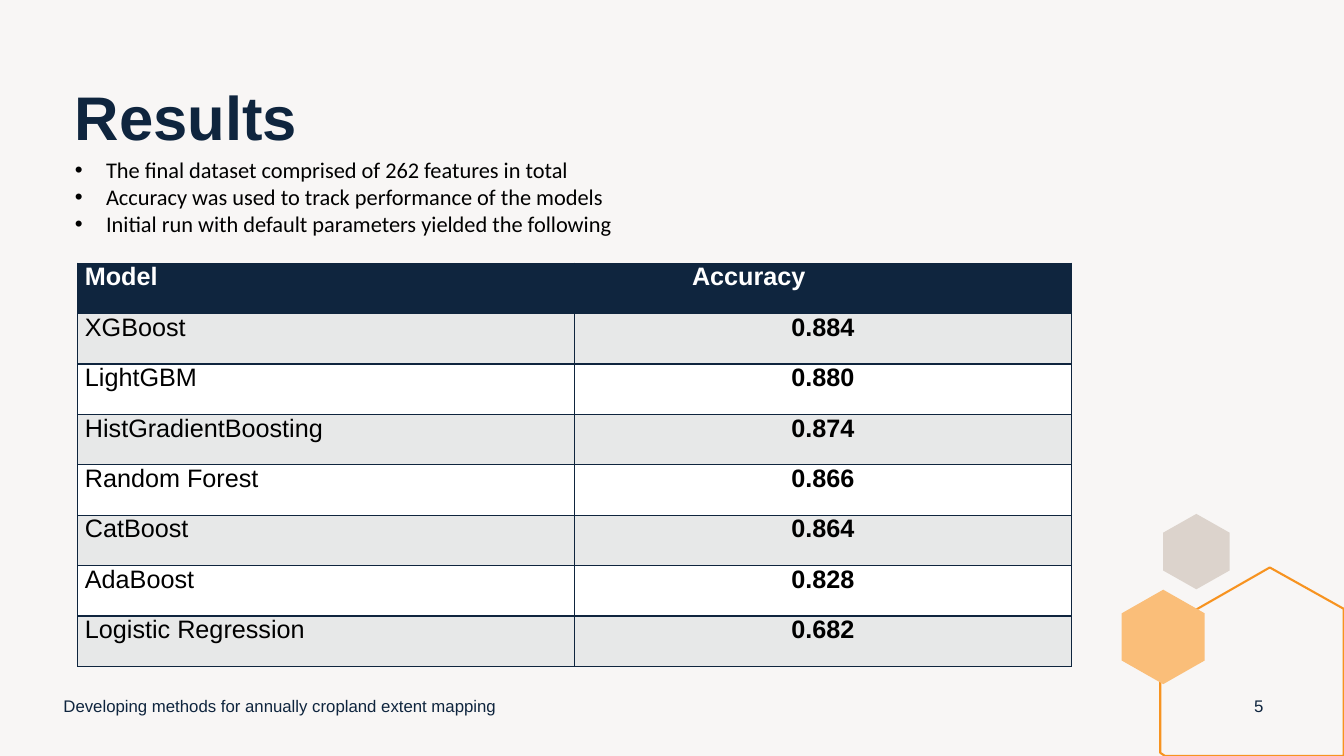
from lxml import etree
from pptx import Presentation
from pptx.dml.color import RGBColor
from pptx.enum.text import MSO_ANCHOR, MSO_AUTO_SIZE, PP_ALIGN
from pptx.oxml.ns import qn
from pptx.util import Cm, Pt

LEFT, CENTER, JUSTIFY = PP_ALIGN.LEFT, PP_ALIGN.CENTER, PP_ALIGN.JUSTIFY
MIDDLE, TOP = MSO_ANCHOR.MIDDLE, MSO_ANCHOR.TOP
NO_FIT = MSO_AUTO_SIZE.NONE

COLORS = {
    "background": "F8F6F5", "navy": "0F253E", "black": "000000",
    "white": "FFFFFF", "band": "E7E8E8", "stone": "DCD3CC",
    "peach": "FABE79", "orange": "F79320",
}

TITLE = "Results"
FINDINGS = [
    "The final dataset comprised of 262 features in total",
    "Accuracy was used to track performance of the models",
    "Initial run with default parameters yielded the following",
]
HEADER = ("Model", "Accuracy")
SCORES = [
    ("XGBoost", "0.884"),
    ("LightGBM", "0.880"),
    ("HistGradientBoosting", "0.874"),
    ("Random Forest", "0.866"),
    ("CatBoost", "0.864"),
    ("AdaBoost", "0.828"),
    ("Logistic Regression", "0.682"),
]
# text, left, width, alignment
FOOTERS = [
    ("Developing methods for annually cropland extent mapping", 1.35, 12.27, LEFT),
    ("5", 31.09, 1.27, CENTER),
]
# left, top, width, height, colour
HEXAGONS = [
    (29.31, 12.95, 1.68, 1.9, "stone"),
    (28.27, 14.86, 2.09, 2.38, "peach"),
]
CROPPED_HEXAGON = [(32, 14.3), (33.86, 15.34), (33.86, 19.05),
                   (29.36, 19.05), (29.24, 18.97), (29.24, 15.88)]

TABLE_LEFT, TABLE_TOP = 1.96, 6.63
COLUMN_WIDTH, ROW_HEIGHT = 12.52, 1.27
ACCURACY_INDENT, BULLET_INDENT = 2.78, 0.79


def rgb(name):
    return RGBColor.from_string(COLORS[name])


def add_text(para, text, size, color, bold=False, font="Arial"):
    span = para.add_run()
    span.text = text
    span.font.name = font
    span.font.size = Pt(size)
    span.font.bold = bold
    span.font.color.rgb = rgb(color)


def place(shape, left, top, width, height):
    shape.left, shape.top = Cm(left), Cm(top)
    shape.width, shape.height = Cm(width), Cm(height)


def prepare_frame(frame, anchor):
    frame.word_wrap = True
    frame.auto_size = NO_FIT
    frame.vertical_anchor = anchor


def add_outline(slide, points):
    """Add a closed polygon whose corners are given in centimetres."""
    corners = [(Cm(x), Cm(y)) for x, y in points]
    builder = slide.shapes.build_freeform(*corners[0])
    builder.add_line_segments(corners[1:], close=True)
    shape = builder.convert_to_shape()
    shape.shadow.inherit = False
    return shape


def hexagon_points(left, top, width, height):
    middle, right = left + width / 2, left + width
    upper, lower = top + height / 4, top + height * 3 / 4
    return [(middle, top), (right, upper), (right, lower),
            (middle, top + height), (left, lower), (left, upper)]


def add_hexagons(slide):
    outline = add_outline(slide, CROPPED_HEXAGON)
    outline.fill.background()
    outline.line.color.rgb = rgb("orange")
    outline.line.width = Pt(1.5)
    for *bounds, color in HEXAGONS:
        hexagon = add_outline(slide, hexagon_points(*bounds))
        hexagon.fill.solid()
        hexagon.fill.fore_color.rgb = rgb(color)
        hexagon.line.fill.background()


def set_borders(cell):
    properties = cell._tc.get_or_add_tcPr()
    for position, side in enumerate(("lnL", "lnR", "lnT", "lnB")):
        line = etree.Element(qn(f"a:{side}"), w=str(Pt(1)))
        fill = etree.SubElement(line, qn("a:solidFill"))
        etree.SubElement(fill, qn("a:srgbClr"), val=COLORS["navy"])
        properties.insert(position, line)


def fill_cell(cell, text, row, column):
    is_header = row == 0
    cell.margin_left = cell.margin_right = Cm(0.18)
    cell.margin_top = cell.margin_bottom = 0
    cell.fill.solid()
    band = "band" if row % 2 else "white"
    cell.fill.fore_color.rgb = rgb("navy" if is_header else band)
    set_borders(cell)
    para = cell.text_frame.paragraphs[0]
    para.space_before = Pt(6)
    para.alignment = JUSTIFY if is_header or column == 0 else CENTER
    if is_header and column == 1:
        para._p.get_or_add_pPr().set("marL", str(Cm(ACCURACY_INDENT)))
    add_text(para, text, 18, "white" if is_header else "black",
             bold=is_header or column == 1)


def add_score_table(slide):
    rows = [HEADER, *SCORES]
    columns = len(HEADER)
    table = slide.shapes.add_table(
        len(rows), columns, Cm(TABLE_LEFT), Cm(TABLE_TOP),
        Cm(COLUMN_WIDTH * columns), Cm(ROW_HEIGHT * len(rows))).table
    for row, values in enumerate(rows):
        for column, text in enumerate(values):
            fill_cell(table.cell(row, column), text, row, column)


def add_title(slide):
    title = slide.shapes.title
    place(title, 1.63, 2.01, 30.25, 2.03)
    prepare_frame(title.text_frame, MIDDLE)
    para = title.text_frame.paragraphs[0]
    para.alignment = LEFT
    para.line_spacing = 0.9
    add_text(para, TITLE, 44, "navy", bold=True)


def add_findings(slide):
    body = slide.placeholders[1]
    place(body, 1.63, 3.81, 29.62, 2.31)
    frame = body.text_frame
    prepare_frame(frame, TOP)
    for number, text in enumerate(FINDINGS):
        para = frame.add_paragraph() if number else frame.paragraphs[0]
        para.space_before = Pt(0)
        properties = para._p.get_or_add_pPr()
        properties.set("marL", str(Cm(BULLET_INDENT)))
        properties.set("indent", str(-Cm(BULLET_INDENT)))
        add_text(para, text, 16, "black", font="Calibri")


def add_footers(slide):
    for text, left, width, alignment in FOOTERS:
        box = slide.shapes.add_textbox(Cm(left), Cm(17.27), Cm(width), Cm(1.02))
        prepare_frame(box.text_frame, MIDDLE)
        para = box.text_frame.paragraphs[0]
        para.alignment = alignment
        add_text(para, text, 12, "navy")


def main():
    deck = Presentation()
    deck.slide_width, deck.slide_height = Cm(33.87), Cm(19.05)
    slide = deck.slides.add_slide(deck.slide_layouts[1])
    slide.background.fill.solid()
    slide.background.fill.fore_color.rgb = rgb("background")
    add_hexagons(slide)
    add_title(slide)
    add_findings(slide)
    add_score_table(slide)
    add_footers(slide)
    deck.save("out.pptx")


if __name__ == "__main__":
    main()
